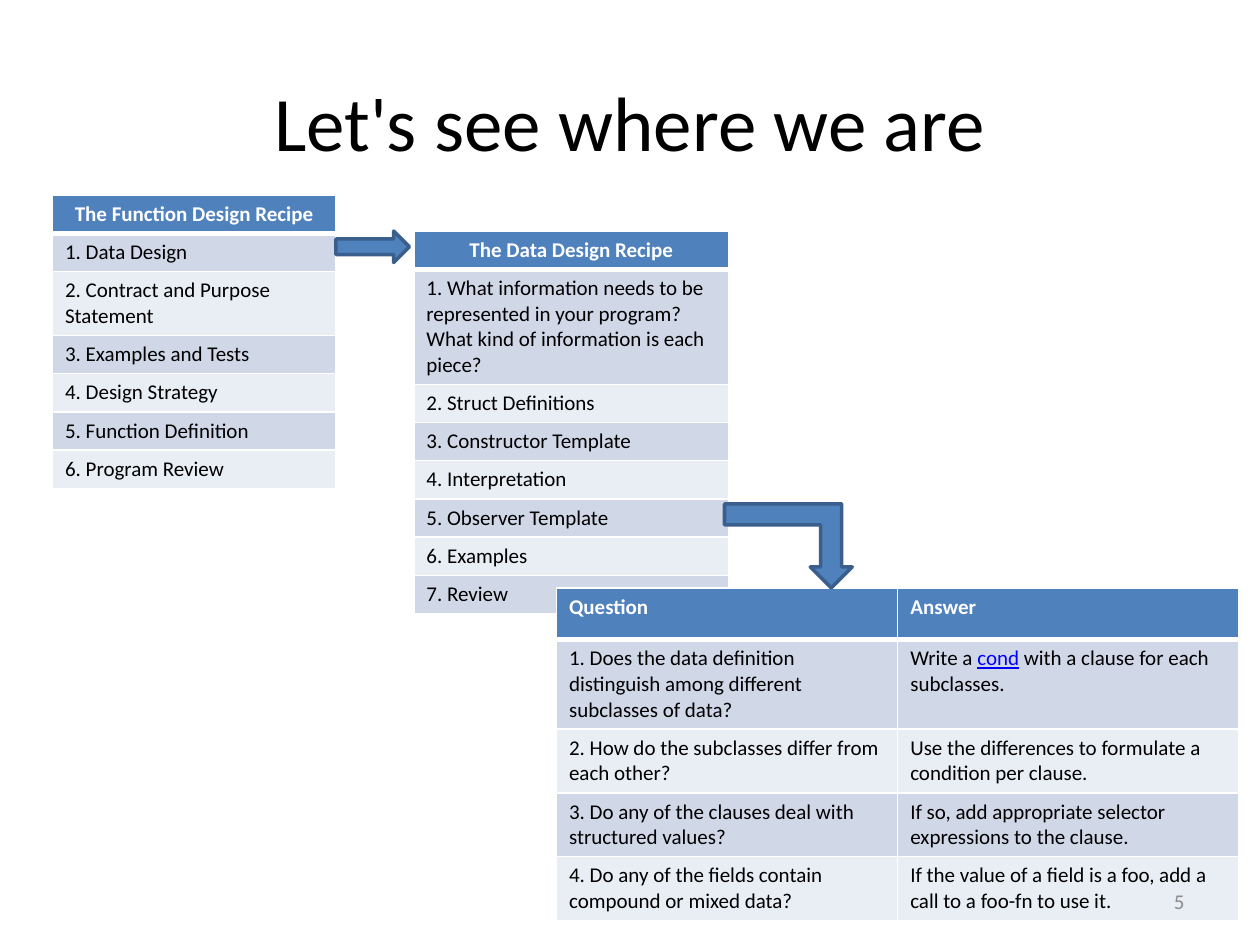
from dataclasses import dataclass

from lxml import etree
from pptx import Presentation
from pptx.dml.color import RGBColor
from pptx.enum import shapes, text
from pptx.oxml import ns
from pptx.util import Pt


@dataclass(frozen=True)
class Theme:
    font: str = "Calibri"
    ink: str = "000000"
    white: str = "FFFFFF"
    blue: str = "4F81BD"
    edge: str = "3A5F8C"
    link: str = "0000FF"
    gray: str = "8C8C8C"
    bands: tuple = ("D0D8E8", "E9EDF4")
    title: int = 44
    body: int = 12


T = Theme()
LEFT, MID, RIGHT = text.PP_ALIGN.LEFT, text.PP_ALIGN.CENTER, text.PP_ALIGN.RIGHT

STEPS = [["The Function Design Recipe"], ["1. Data Design"],
         ["2. Contract and Purpose Statement"], ["3. Examples and Tests"],
         ["4. Design Strategy"], ["5. Function Definition"],
         ["6. Program Review"]]
DATA = [["The Data Design Recipe"],
        ["1. What information needs to be represented in your program? "
         "What kind of information is each piece?"],
        ["2. Struct Definitions"], ["3. Constructor Template"],
        ["4. Interpretation"], ["5. Observer Template"], ["6. Examples"],
        ["7. Review"]]
CASES = [["Question", "Answer"],
         ["1. Does the data definition distinguish among different "
          "subclasses of data?",
          ("Write a ", "cond", " with a clause for each subclasses.")],
         ["2. How do the subclasses differ from each other?",
          "Use the differences to formulate a condition per clause."],
         ["3. Do any of the clauses deal with structured values?",
          "If so, add appropriate selector expressions to the clause."],
         ["4. Do any of the fields contain compound or mixed data?",
          "If the value of a field is a foo, add a call to a foo-fn "
          "to use it."]]


def rgb(code):
    return RGBColor.from_string(code)


def write(frame, words, size=T.body, color=T.ink, bold=False, align=LEFT):
    """Write a string, or a tuple whose odd parts look like links."""
    frame.word_wrap = True
    para = frame.paragraphs[0]
    para.alignment = align
    for i, part in enumerate((words,) if isinstance(words, str) else words):
        run = para.add_run()
        run.text = part
        font = run.font
        font.name, font.size, font.bold = T.font, Pt(size), bold
        font.underline = i % 2 == 1
        font.color.rgb = rgb(T.link if i % 2 else color)


def label(slide, box, words, **look):
    frame = slide.shapes.add_textbox(*map(Pt, box)).text_frame
    frame.vertical_anchor = text.MSO_ANCHOR.MIDDLE
    write(frame, words, **look)


def border(cell, head):
    """White rules, thicker below the header; they precede the fill."""
    props = cell._tc.get_or_add_tcPr()
    for side in "LRTB":
        wide = 3 if head and side == "B" else 1
        line = etree.SubElement(props, ns.qn("a:ln" + side), w=str(Pt(wide)))
        fill = etree.SubElement(line, ns.qn("a:solidFill"))
        etree.SubElement(fill, ns.qn("a:srgbClr"), val=T.white)


def grid(slide, box, rows, lines, top=None, align=LEFT):
    """Draw a banded table; lines gives the text lines in each row."""
    high = [14.65 * n + 7.2 for n in lines]
    high[0] = top or high[0]
    x, y, w = box
    cols = len(rows[0])
    table = slide.shapes.add_table(
        len(rows), cols, Pt(x), Pt(y), Pt(w), Pt(sum(high))).table
    for r, row in enumerate(rows):
        table.rows[r].height = Pt(high[r])
        head = r == 0
        for c, words in enumerate(row):
            cell = table.cell(r, c)
            border(cell, head)
            cell.fill.solid()
            cell.fill.fore_color.rgb = rgb(
                T.blue if head else T.bands[(r - 1) % 2])
            write(cell.text_frame, words, bold=head,
                  color=T.white if head else T.ink,
                  align=align if head else LEFT)


def arrow(slide, box, kind, flip=False):
    shape = slide.shapes.add_shape(kind, *map(Pt, box))
    shape.shadow.inherit = False
    shape.fill.solid()
    shape.fill.fore_color.rgb = rgb(T.blue)
    shape.line.color.rgb = rgb(T.edge)
    shape.line.width = Pt(2)
    if flip:
        shape._element.spPr.xfrm.set("flipV", "1")


def build(slide, box):
    x, y, w, h = box

    # Title
    label(slide, (x + 36, y + 24, w - 72, 90), "Let's see where we are",
          size=T.title, align=MID)

    # Recipes and the questions they lead to
    grid(slide, (x + 30, y + 111.6, 162), STEPS, [1, 1, 2, 1, 1, 1, 1],
         align=MID)
    grid(slide, (x + 236.5, y + 132, 180), DATA, [1, 4] + [1] * 6, align=MID)
    grid(slide, (x + 318, y + 336, 390), CASES, [1, 3, 2, 2, 2], top=29.5)

    # Arrows from a step to its detail
    kinds = shapes.MSO_SHAPE
    arrow(slide, (x + 192, y + 132, 42, 18), kinds.RIGHT_ARROW)
    arrow(slide, (x + 414, y + 288, 73, 48), kinds.BENT_UP_ARROW, flip=True)

    # Page number
    label(slide, (x + 516, y + h - 39.5, 168, 28.75), "5", color=T.gray,
          align=RIGHT)


def main():
    deck = Presentation()
    deck.slide_width, deck.slide_height = Pt(720), Pt(540)
    build(deck.slides.add_slide(deck.slide_layouts[6]), (0, 0, 720, 540))
    deck.save("out.pptx")


if __name__ == "__main__":
    main()
